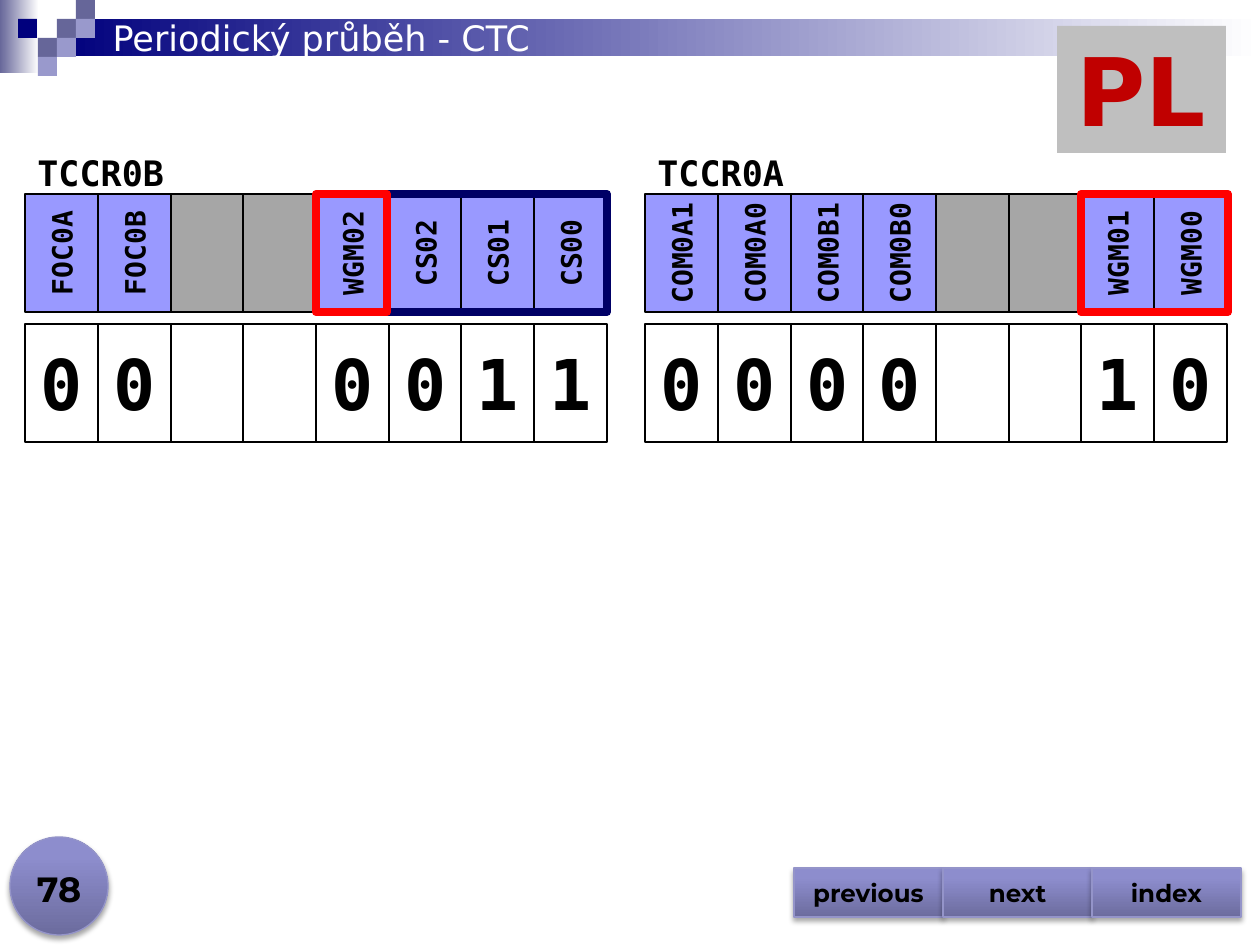
import dataclasses
from typing import Any, Optional

import lxml.etree
import pptx
import pptx.dml.color
import pptx.enum.shapes
import pptx.enum.text
import pptx.oxml.ns
import pptx.util

EMU_PER_PX = 914400 / 126
SHAPE = pptx.enum.shapes.MSO_SHAPE
ALIGN = pptx.enum.text.PP_ALIGN
ANCHOR = pptx.enum.text.MSO_ANCHOR
GROW = pptx.enum.text.MSO_AUTO_SIZE.SHAPE_TO_FIT_TEXT
qn = pptx.oxml.ns.qn

MONO = "DejaVu Sans Mono"
BIT_COUNT = 8
REGISTER_WIDTH = 582
CELL_WIDTH, CELL_HEIGHT = 73, 118
NAME_TOP, VALUE_TOP, LABEL_TOP = 194, 324, 145
BUTTON_STOPS = [(0, "6C6C9E"), (80, "8D8DCD"), (100, "8C8CCF")]


@dataclasses.dataclass
class Box:
    left: int
    top: int
    width: int
    height: int

    def emu(self) -> list[int]:
        return [px(v) for v in dataclasses.astuple(self)]


@dataclasses.dataclass
class TextStyle:
    size: int
    name: str
    color: str = "000000"
    bold: bool = True
    align: Any = ALIGN.CENTER


@dataclasses.dataclass
class Register:
    name: str
    left: int
    bits: list[str]
    values: str


@dataclasses.dataclass
class Frame:
    box: Box
    color: str


NAME_STYLE = TextStyle(16, MONO)
VALUE_STYLE = TextStyle(40, MONO)
LABEL_STYLE = TextStyle(20, MONO, align=ALIGN.LEFT)
BUTTON_STYLE = TextStyle(14, "Montserrat")
NUMBER_STYLE = TextStyle(20, "Montserrat")
TITLE_STYLE = TextStyle(20, "DejaVu Sans", "FFFFFF", False, ALIGN.LEFT)
BADGE_STYLE = TextStyle(54, "DejaVu Sans", "C00000")

REGISTERS = [
    Register("TCCR0A", 645,
             ["COM0A1", "COM0A0", "COM0B1", "COM0B0", "", "", "WGM01", "WGM00"], "0000  10"),
    Register("TCCR0B", 25,
             ["FOC0A", "FOC0B", "", "", "WGM02", "CS02", "CS01", "CS00"], "00  0011"),
]
FRAMES = [
    Frame(Box(387, NAME_TOP, 220, CELL_HEIGHT), "000066"),
    Frame(Box(1081, NAME_TOP, 147, CELL_HEIGHT), "FF0000"),
    Frame(Box(316, NAME_TOP, 71, CELL_HEIGHT), "FF0000"),
]
TILE = 19
TILES = [(57, 19, "666699"), (76, 0, "666699"), (76, 19, "9999CC"), (38, 38, "666699"),
         (18, 19, "00007D"), (57, 38, "9999CC"), (38, 57, "9999CC")]
TILES[2] = (57, 38, "9999CC")
TILES = [(57, 19, "666699"), (76, 0, "666699"), (76, 19, "9999CC"), (38, 38, "666699"),
         (18, 19, "00007D"), (57, 38, "9999CC"), (38, 57, "9999CC")]


def px(value: int) -> int:
    return round(value * EMU_PER_PX)


def rgb(value: str) -> pptx.dml.color.RGBColor:
    return pptx.dml.color.RGBColor.from_string(value)


def set_all(target: Any, values: dict[str, Any]) -> None:
    for key, value in values.items():
        setattr(target, key, value)


def write(s: Any, text: str, style: TextStyle, **frame_format: Any) -> None:
    tf = s.text_frame
    set_all(tf, {"word_wrap": True, **frame_format})
    p = tf.paragraphs[0]
    p.alignment = style.align
    r = p.add_run()
    r.text = text
    set_all(r.font, {"size": pptx.util.Pt(style.size), "name": style.name, "bold": style.bold})
    r.font.color.rgb = rgb(style.color)


def add_shape(shapes: Any, box: Box, fill: Optional[str] = None, line: Optional[str] = None,
              line_width: float = 0.75, kind: Any = SHAPE.RECTANGLE) -> Any:
    s = shapes.add_shape(kind, *box.emu())
    s.shadow.inherit = False
    if fill:
        s.fill.solid()
        s.fill.fore_color.rgb = rgb(fill)
    else:
        s.fill.background()
    if line:
        s.line.color.rgb = rgb(line)
        s.line.width = pptx.util.Pt(line_width)
    else:
        s.line.fill.background()
    return s


def add_color(parent: Any, value: str) -> Any:
    return lxml.etree.SubElement(parent, qn("a:srgbClr"), val=value)


def set_gradient(s: Any, stops: list[tuple[int, str]], angle: int = 0) -> None:
    s.fill.gradient()
    s.fill.gradient_angle = angle
    stop_list = s._element.spPr.find(".//" + qn("a:gsLst"))
    for stop in list(stop_list):
        stop_list.remove(stop)
    for position, value in stops:
        add_color(lxml.etree.SubElement(stop_list, qn("a:gs"), pos=str(position * 1000)), value)


def add_button(shapes: Any, box: Box, kind: Any) -> Any:
    s = add_shape(shapes, box, line="9494C9", kind=kind)
    set_gradient(s, BUTTON_STOPS, 90)
    effects = s._element.spPr.find(qn("a:effectLst"))
    shadow = lxml.etree.SubElement(effects, qn("a:outerShdw"), blurRad="39400", dist="22900",
                                   dir="5400000", rotWithShape="0")
    lxml.etree.SubElement(add_color(shadow, "000000"), qn("a:alpha"), val="35000")
    return s


def add_text(shapes: Any, box: Box, text: str, style: TextStyle, **frame_format: Any) -> None:
    write(shapes.add_textbox(*box.emu()), text, style, **frame_format)


def add_cells(shapes: Any, left: int, top: int, texts: Any, fill: str, empty_fill: str,
              style: TextStyle, vertical: bool = False) -> None:
    group = shapes.add_group_shape()
    for i, text in enumerate(texts):
        box = Box(left + round(i * REGISTER_WIDTH / BIT_COUNT), top, CELL_WIDTH, CELL_HEIGHT)
        text = text.strip()
        s = add_shape(group.shapes, box, fill if text else empty_fill, "000000")
        if text:
            write(s, text, style, word_wrap=False, vertical_anchor=ANCHOR.MIDDLE)
            if vertical:
                s.text_frame._txBody.bodyPr.set("vert", "vert270")


def add_banner(shapes: Any) -> None:
    group = shapes.add_group_shape()
    for box, color in [(Box(0, 0, 39, 73), "666699"), (Box(57, 19, 1203, 37), "00007D")]:
        set_gradient(add_shape(group.shapes, box), [(0, color), (100, "FFFFFF")])
    for left, top, color in TILES:
        add_shape(group.shapes, Box(left, top, TILE, TILE), color)


def main() -> None:
    prs = pptx.Presentation()
    set_all(prs, {"slide_width": px(1260), "slide_height": px(945)})
    slide = prs.slides.add_slide(prs.slide_layouts[5])
    shapes = slide.shapes
    add_banner(shapes)

    for register in REGISTERS:
        add_cells(shapes, register.left, NAME_TOP, register.bits, "9999FF", "A6A6A6",
                  NAME_STYLE, vertical=True)
        add_cells(shapes, register.left, VALUE_TOP, register.values, "FFFFFF", "FFFFFF",
                  VALUE_STYLE)
        add_text(shapes, Box(register.left, LABEL_TOP, 256, 55), register.name, LABEL_STYLE,
                 auto_size=GROW)
    for frame in FRAMES:
        add_shape(shapes, frame.box, line=frame.color, line_width=4.5)

    add_button(shapes, Box(10, 837, 98, 98), SHAPE.OVAL)
    add_text(shapes, Box(0, 853, 118, 63), "78", NUMBER_STYLE, vertical_anchor=ANCHOR.BOTTOM)
    for i, text in enumerate(["previous", "next", "index"]):
        s = add_button(shapes, Box(794 + i * 149, 868, 149, 49), SHAPE.ACTION_BUTTON_CUSTOM)
        write(s, text, BUTTON_STYLE, vertical_anchor=ANCHOR.MIDDLE)

    title = shapes.title
    set_all(title, dict(zip(("left", "top", "width", "height"), Box(100, 10, 1071, 55).emu())))
    write(title, "Periodický průběh - CTC", TITLE_STYLE, vertical_anchor=ANCHOR.MIDDLE,
          auto_size=GROW)
    shapes._spTree.append(title._element)

    badge = add_shape(shapes, Box(1057, 26, 169, 127), "BFBFBF")
    write(badge, "PL", BADGE_STYLE, vertical_anchor=ANCHOR.TOP, auto_size=GROW)
    prs.save("out.pptx")


if __name__ == "__main__":
    main()
